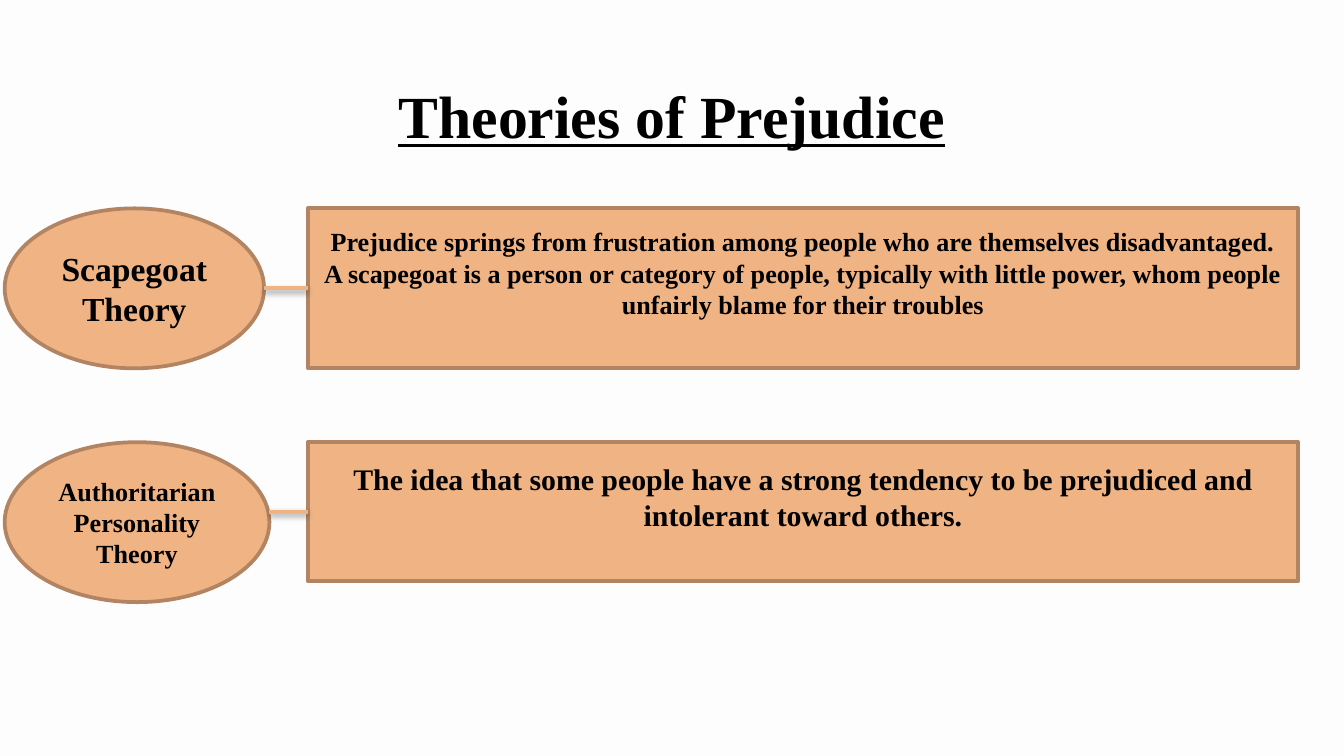
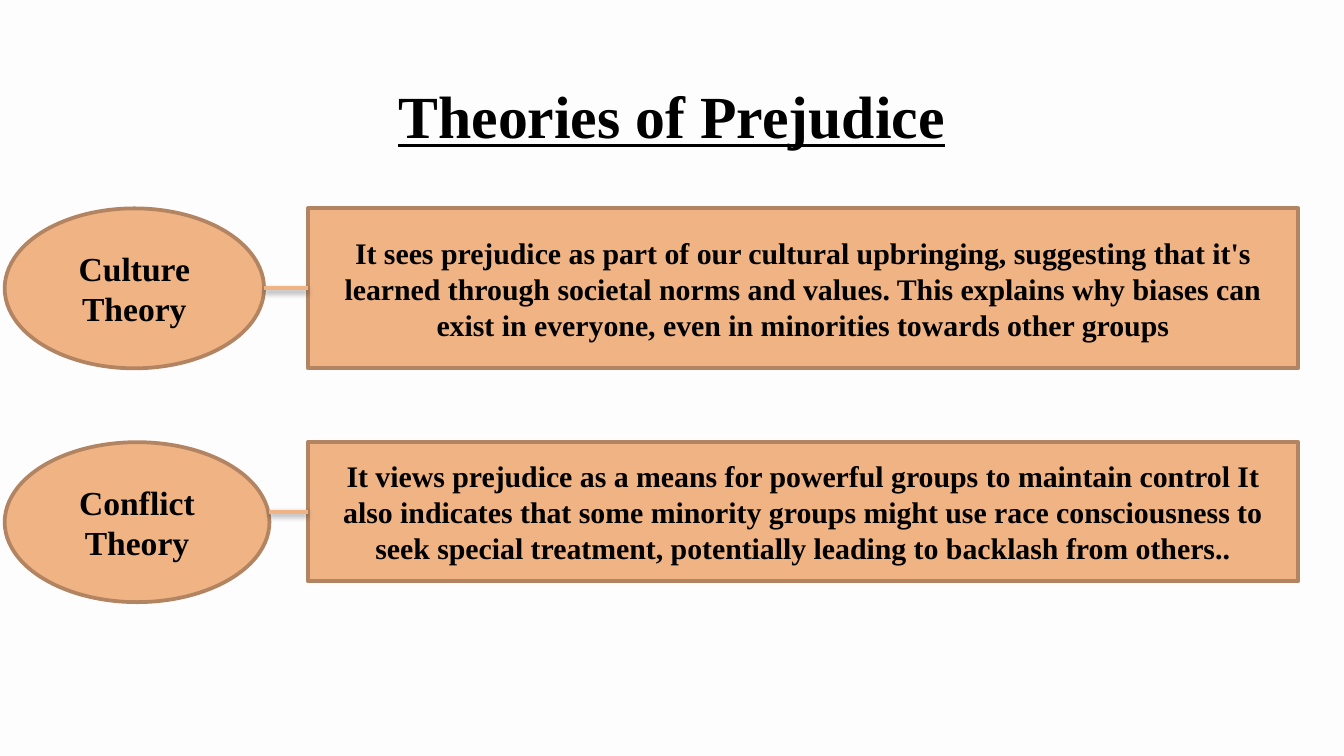
from lxml.etree import SubElement
from pptx import Presentation
from pptx.dml.color import RGBColor
from pptx.enum.shapes import MSO_CONNECTOR, MSO_SHAPE
from pptx.enum.text import MSO_ANCHOR, PP_ALIGN
from pptx.oxml.ns import qn
from pptx.util import Inches, Pt

# Theme: colours, type sizes and font formats
theme = {
    "back": RGBColor.from_string("FDFDFD"),
    "fill": RGBColor.from_string("F0B384"),
    "edge": RGBColor.from_string("B28462"),
    "ink": RGBColor.from_string("000000"),
    "line": Pt(2),
    "head": Pt(32), "large": Pt(18), "mid": Pt(16), "small": Pt(14),
    "font": {"name": "Times New Roman", "bold": True},
}

# Slide size (16:9) and grid: 100 columns by 100 rows
deck = Presentation()
deck.slide_width = Inches(10)
deck.slide_height = deck.slide_width * 9 // 16
col, row = deck.slide_width / 100, deck.slide_height / 100

# Columns: left and width of ovals and boxes; rows: top, oval and box height
oval_x, box_x, box_w = 0.35, 22.9, 73.7
rows = [
    {"top": 27.56, "oval_w": 19.3, "oval_h": 21.16, "box_h": 21.16},
    {"top": 58.49, "oval_w": 19.7, "oval_h": 21.16, "box_h": 18.4},
]
title = "Theories of Prejudice"

# Each theory: name lines, name size, text, text size, lift above the middle
pages = [
    [
        (["Scapegoat", "Theory"], "large",
         "Prejudice springs from frustration among people who are themselves "
         "disadvantaged. A scapegoat is a person or category of people, typically "
         "with little power, whom people unfairly blame for their troubles",
         "small", 0.23),
        (["Authoritarian Personality Theory"], "small",
         "The idea that some people have a strong tendency to be prejudiced and "
         "intolerant toward others.", "mid", 0.23),
    ],
    [
        (["Culture", "Theory"], "large",
         "It sees prejudice as part of our cultural upbringing, suggesting that "
         "it's learned through societal norms and values. This explains why biases "
         "can exist in everyone, even in minorities towards other groups",
         "mid", 0),
        (["Conflict Theory"], "large",
         "It views prejudice as a means for powerful groups to maintain control It "
         "also indicates that some minority groups might use race consciousness to "
         "seek special treatment, potentially leading to backlash from others..",
         "mid", 0),
    ],
]


def write(frame, lines, size, **extra):
    """Fill a text frame with centred paragraphs in the theme font."""
    frame.word_wrap = True
    frame.text = "\n".join(lines)
    for para in frame.paragraphs:
        para.alignment = PP_ALIGN.CENTER
        font = para.runs[0].font
        for key, val in {**theme["font"], "size": theme[size], **extra}.items():
            setattr(font, key, val)
        font.color.rgb = theme["ink"]


def panel(slide, kind, left, top, width, height, lines, size):
    """Add a filled, outlined shape, placed on the grid."""
    shape = slide.shapes.add_shape(
        kind, int(left * col), int(top * row), int(width * col), int(height * row))
    shape.shadow.inherit = False
    shape.fill.solid()
    shape.fill.fore_color.rgb = theme["fill"]
    shape.line.color.rgb = theme["edge"]
    shape.line.width = theme["line"]
    shape.text_frame.vertical_anchor = MSO_ANCHOR.MIDDLE
    write(shape.text_frame, lines, size)
    return shape


# Shared background and title place
fill = deck.slide_master.background.fill
fill.solid()
fill.fore_color.rgb = theme["back"]
layout = deck.slide_layouts[5]
place = {"left": 3.4 * col, "top": 8.71 * row, "width": 93.2 * col, "height": 11.2 * row}
for key, val in place.items():
    setattr(layout.placeholders[0], key, int(val))

for page in pages:
    # Title
    slide = deck.slides.add_slide(layout)
    frame = slide.shapes.title.text_frame
    for side in ("left", "top", "right", "bottom"):
        setattr(frame, "margin_" + side, Inches(0.1))
    frame.vertical_anchor = MSO_ANCHOR.TOP
    write(frame, [title], "head", underline=True)

    # Theories: oval with the name, box with the text
    pairs = []
    for spot, (name, name_size, text, size, lift) in zip(rows, page):
        oval = panel(slide, MSO_SHAPE.OVAL, oval_x, spot["top"],
                     spot["oval_w"], spot["oval_h"], name, name_size)
        box = panel(slide, MSO_SHAPE.FLOWCHART_PROCESS, box_x, spot["top"],
                    box_w, spot["box_h"], [text], size)
        box.text_frame.margin_bottom = Inches(0.05 + lift)
        pairs.append((oval, box))

    # Links from oval to box, with a soft shadow
    for oval, box in pairs:
        mid = box.top + box.height // 2
        link = slide.shapes.add_connector(
            MSO_CONNECTOR.STRAIGHT, oval.left + oval.width, mid, box.left, mid)
        link.end_connect(box, 1)
        link.line.color.rgb = theme["fill"]
        link.line.width = theme["line"]
        effects = SubElement(link.element.spPr, qn("a:effectLst"))
        shade = SubElement(effects, qn("a:outerShdw"), blurRad="40000",
                           dist="20000", dir="5400000", rotWithShape="0")
        tint = SubElement(shade, qn("a:srgbClr"), val=str(theme["ink"]))
        SubElement(tint, qn("a:alpha"), val="38000")

deck.save("out.pptx")
